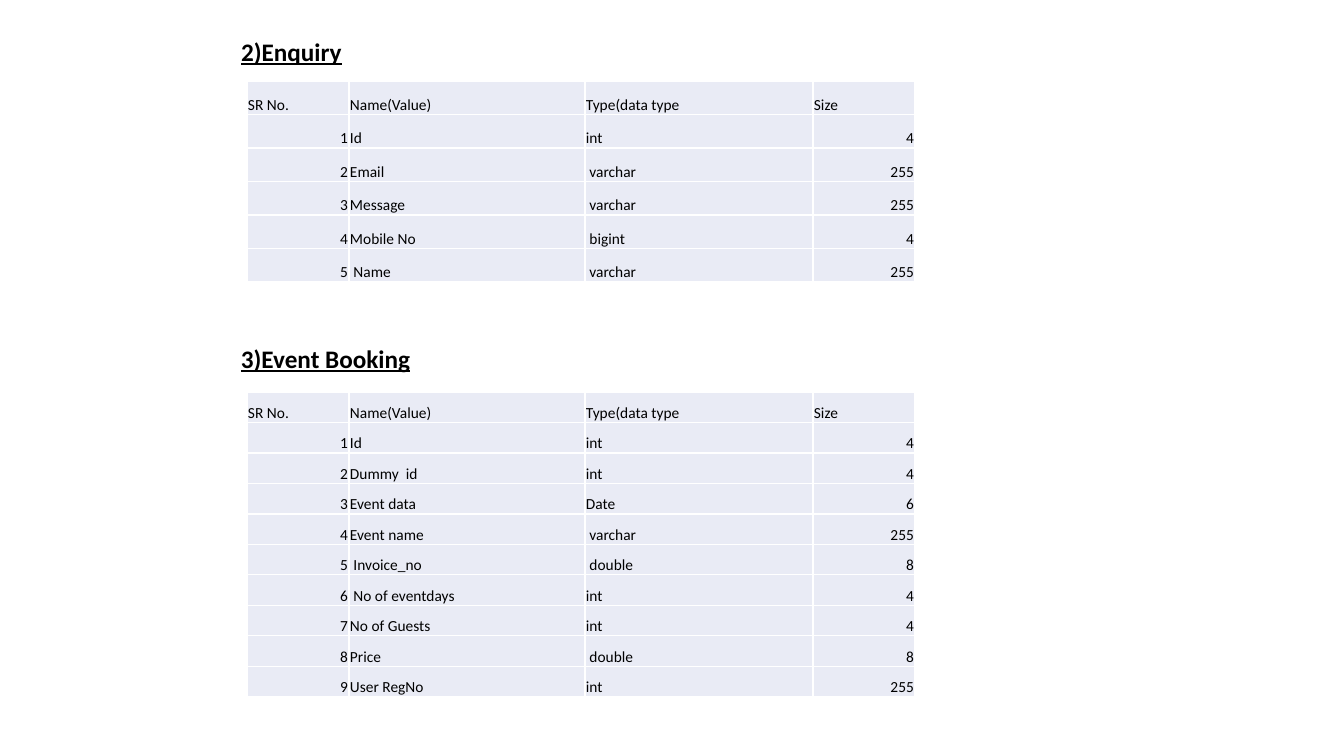
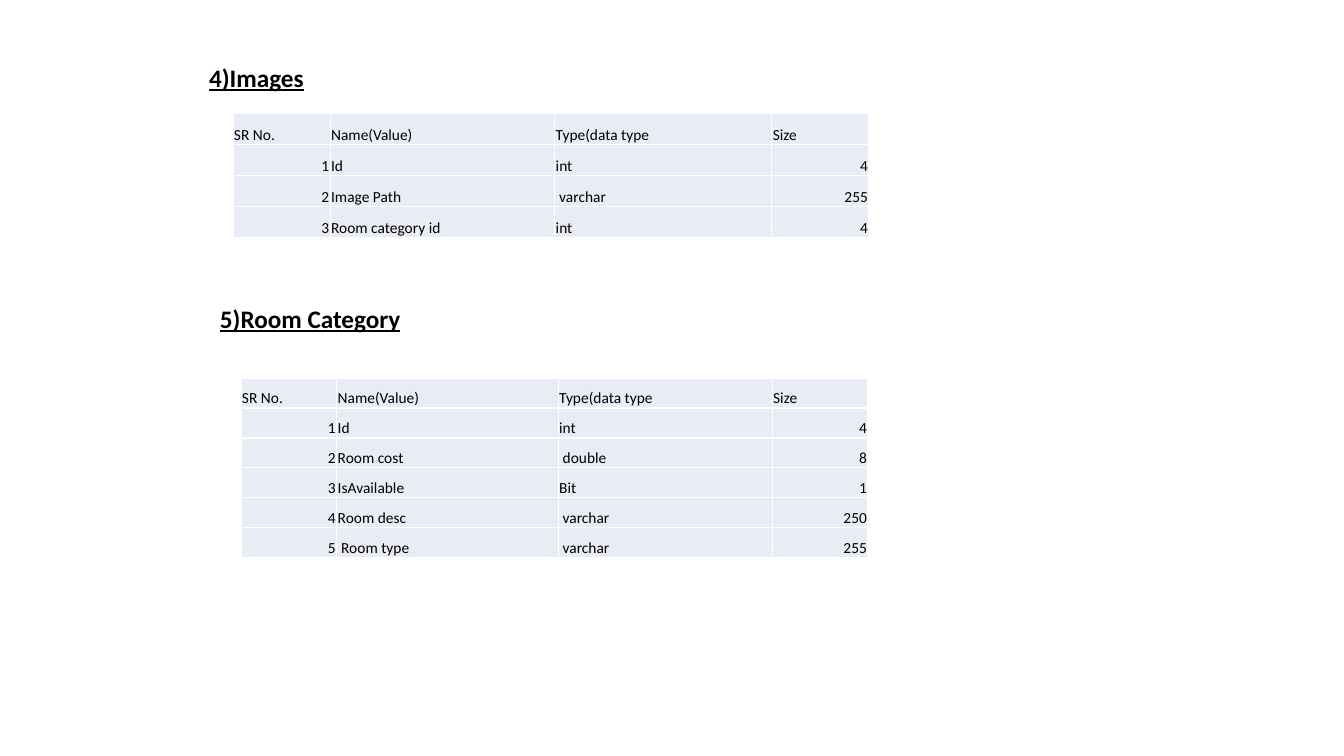
from lxml.etree import SubElement
from pptx import Presentation
from pptx.dml.color import RGBColor
from pptx.enum.text import MSO_ANCHOR, MSO_AUTO_SIZE, PP_ALIGN
from pptx.oxml.ns import qn
from pptx.util import Pt

EMU_PER_PX = 914400 / 100.8
SLIDE_WIDTH, SLIDE_HEIGHT = 1344, 756
FONT = "Calibri"
BLACK = RGBColor(0x00, 0x00, 0x00)
WHITE = RGBColor(0xFF, 0xFF, 0xFF)
CELL_FILL = RGBColor(0xE9, 0xEB, 0xF5)

HEADER = ("SR No.", "Name(Value)", "Type(data type", "Size")
COLUMN_SHARES = (102, 236, 228, 102)
BORDER_TAGS = ("a:lnL", "a:lnR", "a:lnT", "a:lnB")

SLIDES = [
    [
        {
            "heading": "2)Enquiry",
            "heading_box": (231, 31, 177, 72),
            "table_box": (247, 81, 668, 201),
            "fields": [
                ("Id", "int", 4),
                ("Email", " varchar", 255),
                ("Message", " varchar", 255),
                ("Mobile No", " bigint", 4),
                (" Name", " varchar", 255),
            ],
        },
        {
            "heading": "3)Event Booking",
            "heading_box": (231, 338, 305, 40),
            "table_box": (247, 392, 668, 305),
            "fields": [
                ("Id", "int", 4),
                ("Dummy  id", "int", 4),
                ("Event data", "Date", 6),
                ("Event name", " varchar", 255),
                (" Invoice_no", " double", 8),
                (" No of eventdays", "int", 4),
                ("No of Guests", "int", 4),
                ("Price", " double", 8),
                ("User RegNo", "int", 255),
            ],
        },
    ],
    [
        {
            "heading": "4)Images",
            "heading_box": (199, 57, 240, 40),
            "table_box": (233, 113, 636, 125),
            "fields": [
                ("Id", "int", 4),
                ("Image Path", " varchar", 255),
                ("Room category id", "int", 4),
            ],
        },
        {
            "heading": "5)Room Category",
            "heading_box": (210, 298, 251, 40),
            "table_box": (241, 378, 627, 180),
            "fields": [
                ("Id", "int", 4),
                ("Room cost", " double", 8),
                ("IsAvailable", "Bit", 1),
                ("Room desc", " varchar", 250),
                (" Room type", " varchar", 255),
            ],
        },
    ],
]


def px(length):
    return round(length * EMU_PER_PX)


def style_font(font, size, bold, underline):
    font.name = FONT
    font.size = Pt(size)
    font.bold = bold
    font.underline = underline
    font.color.rgb = BLACK


def write_heading(shape, text, box):
    shape.left, shape.top, shape.width, shape.height = map(px, box)
    frame = shape.text_frame
    frame.text = text
    frame.word_wrap = True
    frame.auto_size = MSO_AUTO_SIZE.NONE
    frame.vertical_anchor = MSO_ANCHOR.TOP
    paragraph = frame.paragraphs[0]
    paragraph.alignment = PP_ALIGN.LEFT
    style_font(paragraph.runs[0].font, 18, True, True)


def add_borders(cell):
    properties = cell._tc.get_or_add_tcPr()
    for position, tag in enumerate(BORDER_TAGS):
        line = SubElement(properties, qn(tag), w=str(Pt(1)))
        fill = SubElement(line, qn("a:solidFill"))
        SubElement(fill, qn("a:srgbClr"), val=str(WHITE))
        properties.insert(position, line)


def write_cell(cell, text):
    cell.text = text
    cell.vertical_anchor = MSO_ANCHOR.BOTTOM
    cell.margin_left = cell.margin_right = cell.margin_top = px(1)
    cell.margin_bottom = 0
    cell.fill.solid()
    cell.fill.fore_color.rgb = CELL_FILL
    add_borders(cell)
    paragraph = cell.text_frame.paragraphs[0]
    paragraph.alignment = PP_ALIGN.RIGHT if text.isdigit() else PP_ALIGN.LEFT
    style_font(paragraph.runs[0].font, 11, False, False)


def add_field_table(slide, fields, box):
    rows = [HEADER] + [(number, *field) for number, field in enumerate(fields, 1)]
    left, top, width, height = box
    table = slide.shapes.add_table(len(rows), len(HEADER), *map(px, box)).table
    table.horz_banding = False
    for column, share in zip(table.columns, COLUMN_SHARES):
        column.width = px(width * share / sum(COLUMN_SHARES))
    for row, values in zip(table.rows, rows):
        row.height = px(height / len(rows))
        for cell, value in zip(row.cells, values):
            write_cell(cell, str(value))


def main():
    presentation = Presentation()
    presentation.slide_width = px(SLIDE_WIDTH)
    presentation.slide_height = px(SLIDE_HEIGHT)
    title_only = presentation.slide_layouts[5]
    for sections in SLIDES:
        slide = presentation.slides.add_slide(title_only)
        for index, section in enumerate(sections):
            box = section["heading_box"]
            heading = slide.shapes.add_textbox(*map(px, box)) if index else slide.shapes.title
            write_heading(heading, section["heading"], box)
            add_field_table(slide, section["fields"], section["table_box"])
    presentation.save("out.pptx")


if __name__ == "__main__":
    main()
